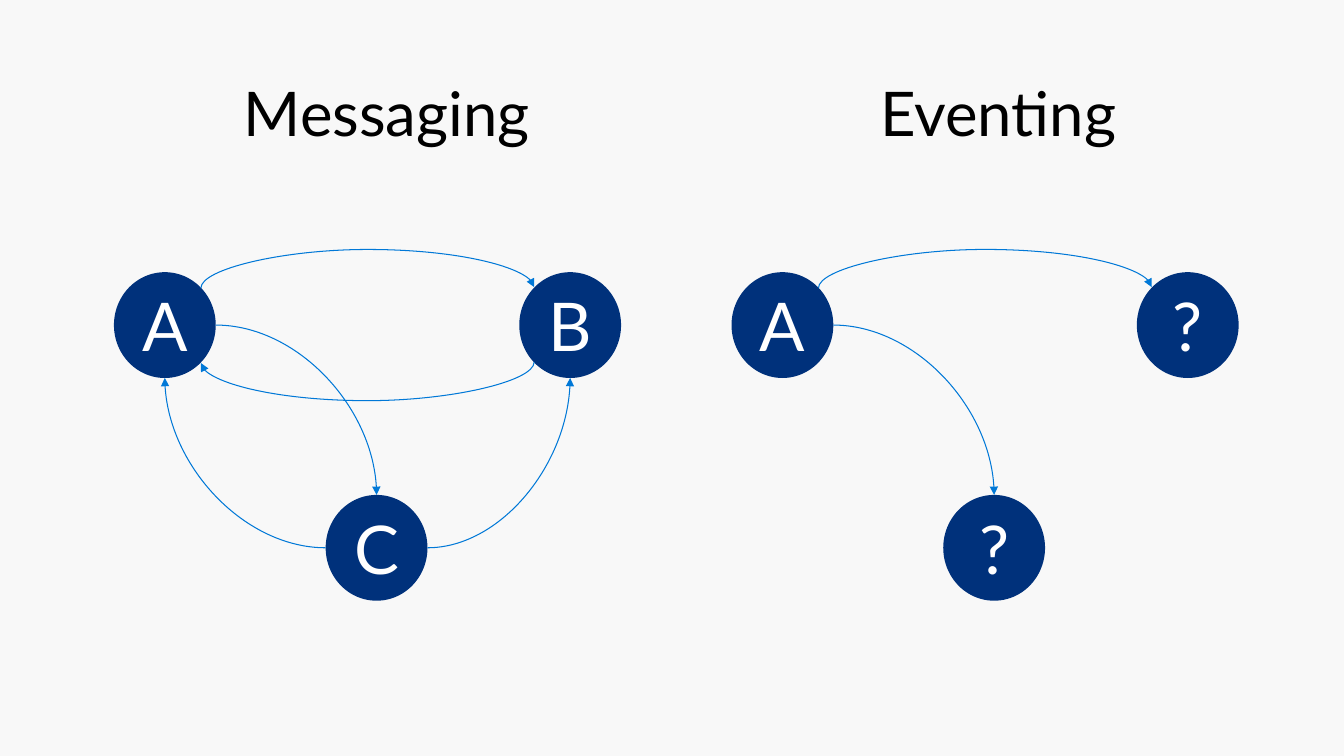
from math import cos, pi, sin
from lxml import etree
from pptx import Presentation
from pptx.dml.color import RGBColor
from pptx.enum.shapes import MSO_CONNECTOR, MSO_SHAPE
from pptx.enum.text import MSO_ANCHOR, MSO_AUTO_SIZE, PP_ALIGN
from pptx.oxml.ns import qn
from pptx.util import Inches, Pt

CURVE, OVAL = MSO_CONNECTOR.CURVE, MSO_SHAPE.OVAL
MIDDLE, CENTER = MSO_ANCHOR.MIDDLE, PP_ALIGN.CENTER
FIT = MSO_AUTO_SIZE.SHAPE_TO_FIT_TEXT
THEME = {
    "font": "Lato", "head": Pt(44), "label": Pt(48), "line": Pt(0.75),
    "back": RGBColor.from_string("F8F8F8"),
    "ink": RGBColor.from_string("000000"),
    "node": RGBColor.from_string("00317B"),
    "link": RGBColor.from_string("0078D7"),
    "white": RGBColor.from_string("FFFFFF"),
}
# Sites of an oval, counted anticlockwise from the top
TOP, TOP_LEFT, LEFT, LOW_LEFT, BOTTOM, LOW_RIGHT, RIGHT, TOP_RIGHT = range(8)
WIDE, HIGH = 1.01, 1.05
SLIM, BULGE = 0.01, 0.39
SHIFT = 6.125
SPOTS = [(1.13, 2.7), (5.15, 2.7), (3.23, 4.91)]
PANELS = [
    ("Messaging", 2.32, 3.14, "ABC",
     [(0, TOP_RIGHT, 1, TOP_LEFT), (1, LOW_LEFT, 0, LOW_RIGHT),
      (0, RIGHT, 2, TOP), (2, RIGHT, 1, BOTTOM), (2, LEFT, 0, BOTTOM)]),
    ("Eventing", 8.63, 2.55, "A??",
     [(0, TOP_RIGHT, 1, TOP_LEFT), (0, RIGHT, 2, TOP)]),
]

deck = Presentation()
deck.slide_width, deck.slide_height = Inches(13.33), Inches(7.5)
slide = deck.slides.add_slide(deck.slide_layouts[6])
slide.background.fill.solid()
slide.background.fill.fore_color.rgb = THEME["back"]


def write(frame, text, size, color):
    para = frame.paragraphs[0]
    para.text = text
    para.font.name, para.font.size = THEME["font"], size
    para.font.color.rgb = color
    return para


def site(node, index):
    """Return the point of a connection site in inches."""
    angle = index * pi / 4
    x = node.left.inches + WIDE / 2 * (1 - sin(angle))
    y = node.top.inches + HIGH / 2 * (1 - cos(angle))
    return x, y


for panel, (title, left, width, names, links) in enumerate(PANELS):
    head = slide.shapes.add_textbox(
        Inches(left), Inches(0.69), Inches(width), Inches(0.84)).text_frame
    head.word_wrap, head.auto_size = False, FIT
    write(head, title, THEME["head"], THEME["ink"])

    nodes = []
    for name, (x, y) in zip(names, SPOTS):
        node = slide.shapes.add_shape(
            OVAL, Inches(x + panel * SHIFT), Inches(y),
            Inches(WIDE), Inches(HIGH))
        node.shadow.inherit = False
        node.fill.solid()
        node.fill.fore_color.rgb = THEME["node"]
        node.line.fill.background()
        node.text_frame.vertical_anchor = MIDDLE
        label = write(node.text_frame, name, THEME["label"], THEME["white"])
        label.alignment = CENTER
        nodes.append(node)

    for start, out, end, into in links:
        x1, y1 = site(nodes[start], out)
        x2, y2 = site(nodes[end], into)
        arched = out % 2 == 1
        if arched:
            # A slim upright box, turned by 90 degrees below
            mid, half = (x1 + x2) / 2, (x1 - x2) / 2
            slant = SLIM / 2 if half > 0 else -SLIM / 2
            x1, x2 = mid - slant, mid + slant
            y1, y2 = y1 - half, y1 + half
        link = slide.shapes.add_connector(
            CURVE, Inches(x1), Inches(y1), Inches(x2), Inches(y2))
        link.line.color.rgb, link.line.width = THEME["link"], THEME["line"]
        props = link._element.spPr
        shape = props.find(qn("a:prstGeom"))
        if arched:
            props.find(qn("a:xfrm")).set("rot", "5400000")
            etree.SubElement(shape.find(qn("a:avLst")), qn("a:gd"),
                             name="adj1", fmla=f"val {BULGE / SLIM * 1e5:.0f}")
        else:
            shape.set("prst", "curvedConnector2")
        etree.SubElement(props.find(qn("a:ln")), qn("a:tailEnd"),
                         type="triangle")
        etree.SubElement(props, qn("a:effectLst"))
        joints = link._element.find(qn("p:nvCxnSpPr")).find(
            qn("p:cNvCxnSpPr"))
        for tag, node, index in (("a:stCxn", nodes[start], out),
                                 ("a:endCxn", nodes[end], into)):
            etree.SubElement(joints, qn(tag), id=str(node.shape_id),
                             idx=str(index))

deck.save("out.pptx")
